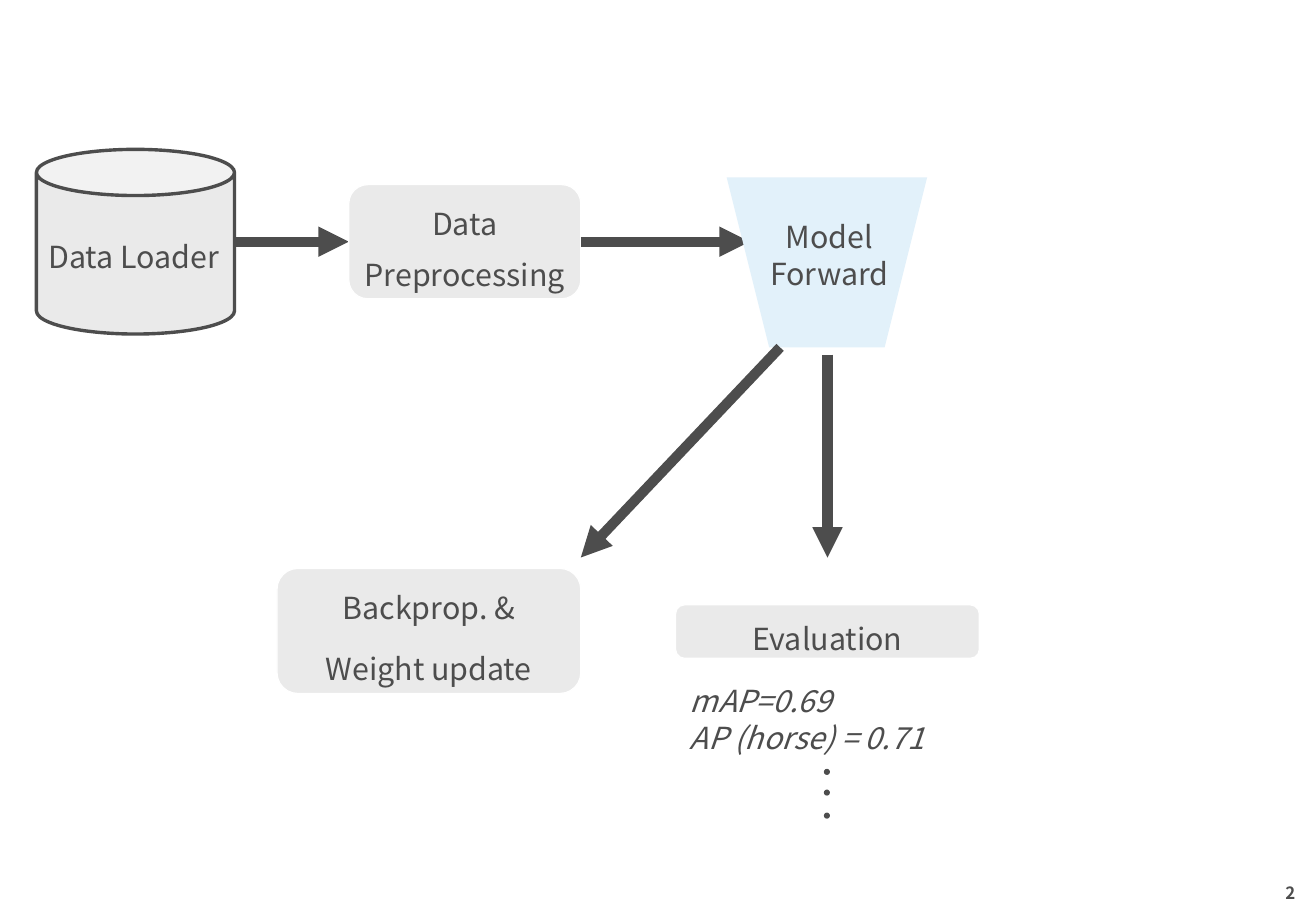
from dataclasses import dataclass

from lxml import etree
from pptx import Presentation
from pptx.dml.color import RGBColor
from pptx.enum.shapes import MSO_CONNECTOR, MSO_SHAPE
from pptx.enum.text import MSO_ANCHOR, MSO_AUTO_SIZE, PP_ALIGN
from pptx.oxml.ns import qn
from pptx.util import Inches, Pt

CAN, ROUNDED = MSO_SHAPE.CAN, MSO_SHAPE.ROUNDED_RECTANGLE
TRAPEZOID, RECTANGLE, OVAL = MSO_SHAPE.TRAPEZOID, MSO_SHAPE.RECTANGLE, MSO_SHAPE.OVAL
STRAIGHT = MSO_CONNECTOR.STRAIGHT
LEFT, CENTER, RIGHT = PP_ALIGN.LEFT, PP_ALIGN.CENTER, PP_ALIGN.RIGHT
TOP, MIDDLE = MSO_ANCHOR.TOP, MSO_ANCHOR.MIDDLE
FIT_SHAPE, NO_FIT = MSO_AUTO_SIZE.SHAPE_TO_FIT_TEXT, MSO_AUTO_SIZE.NONE

FONT = "Noto Sans CJK JP"
COLORS = {"ink": "4D4D4D", "step": "EAEAEA", "model": "E2F1FA", "paper": "FFFFFF"}
LEFT_SIDE, RIGHT_SIDE = 1, 3


@dataclass
class Step:
    left: float
    top: float
    width: float
    height: float
    text: str


@dataclass
class Arrow:
    start: tuple[float, float]
    end: tuple[float, float]


PREPROCESSING = Step(2.87, 1.52, 1.91, 0.94, "Data Preprocessing")
OUTCOMES = [
    Step(2.28, 4.68, 2.5, 1.03, "Backprop. &\nWeight update"),
    Step(5.56, 4.98, 2.5, 0.44, "Evaluation"),
]
LOAD_ARROW = Arrow((1.93, 1.99), (2.87, 1.99))
FORWARD_ARROW = Arrow((4.78, 1.99), (6.17, 1.99))
OUTCOME_ARROWS = [Arrow((6.42, 2.86), (4.78, 4.59)), Arrow((6.81, 2.92), (6.81, 4.59))]
DOT_TOPS = [6.33, 6.5, 6.69]


def color(name):
    return RGBColor.from_string(COLORS[name])


def write(box, text: str, *, size=18, bold=False, italic=False, align=LEFT, anchor=TOP,
          margin=None, spacing=None, after=None, wrap=True, fit=FIT_SHAPE) -> None:
    frame = box.text_frame
    frame.word_wrap, frame.auto_size, frame.vertical_anchor = wrap, fit, anchor
    if margin is not None:
        frame.margin_left = frame.margin_right = Inches(margin)
        frame.margin_top = frame.margin_bottom = Inches(margin)
    frame.text = text
    for para in frame.paragraphs:
        para.alignment = align
        if spacing is not None:
            para.line_spacing = spacing
        if after is not None:
            para.space_after = Pt(after)
        for span in para.runs:
            font = span.font
            font.name, font.size = FONT, Pt(size)
            font.bold, font.italic = bold, italic
            font.color.rgb = color("ink")


def add_shape(page, kind, left: float, top: float, width: float, height: float,
              fill: str, line: str | None = None, line_width: float = 0.75):
    shape = page.shapes.add_shape(kind, Inches(left), Inches(top),
                                  Inches(width), Inches(height))
    shape.shadow.inherit = False
    shape.fill.solid()
    shape.fill.fore_color.rgb = color(fill)
    if line is None:
        shape.line.fill.background()
    else:
        shape.line.color.rgb = color(line)
        shape.line.width = Pt(line_width)
    return shape


def add_step(page, step: Step):
    box = add_shape(page, ROUNDED, step.left, step.top, step.width, step.height,
                    "step", "paper")
    write(box, step.text, align=CENTER, anchor=MIDDLE, margin=0, spacing=1.4, after=6)
    return box


def add_label(page, left: float, top: float, width: float, height: float,
              text: str, **text_format) -> None:
    box = page.shapes.add_textbox(Inches(left), Inches(top), Inches(width), Inches(height))
    write(box, text, **text_format)


def add_arrow(page, arrow: Arrow):
    ends = [Inches(value) for value in arrow.start + arrow.end]
    connector = page.shapes.add_connector(STRAIGHT, *ends)
    connector.line.color.rgb = color("ink")
    connector.line.width = Pt(6)
    etree.SubElement(connector.line._get_or_add_ln(), qn("a:tailEnd"), type="triangle")
    etree.SubElement(connector._element.spPr, qn("a:effectLst"))
    return connector


def main() -> None:
    deck = Presentation()
    deck.slide_width, deck.slide_height = Inches(10.83), Inches(7.5)
    page = deck.slides.add_slide(deck.slide_layouts[6])

    # Page number
    add_label(page, 8.13, 7.21, 2.53, 0.28, "2", size=10, bold=True, align=RIGHT,
              anchor=MIDDLE, margin=0, fit=NO_FIT)

    # Data loading and preprocessing
    add_shape(page, CAN, 0.3, 1.23, 1.63, 1.52, "step", "ink", 2)
    add_label(page, 0.3, 1.91, 1.77, 0.4, "Data Loader")
    load_arrow = add_arrow(page, LOAD_ARROW)
    preprocessing = add_step(page, PREPROCESSING)
    load_arrow.end_connect(preprocessing, LEFT_SIDE)
    add_arrow(page, FORWARD_ARROW).begin_connect(preprocessing, RIGHT_SIDE)

    # Model, narrow side down
    model = add_shape(page, TRAPEZOID, 5.98, 1.46, 1.65, 1.4, "model")
    model.rotation = 180
    add_label(page, 5.94, 1.75, 1.77, 0.71, "Model Forward", align=CENTER)

    # Weight update and evaluation
    for arrow, outcome in zip(OUTCOME_ARROWS, OUTCOMES):
        add_arrow(page, arrow)
        add_step(page, outcome)

    # Scores, continued by dots
    scores = add_shape(page, RECTANGLE, 5.58, 5.57, 2.44, 1.3, "paper")
    write(scores, "mAP=0.69\nAP (horse) = 0.71", italic=True, wrap=False, fit=NO_FIT)
    for top in DOT_TOPS:
        add_shape(page, OVAL, 6.78, top, 0.05, 0.05, "ink")

    deck.save("out.pptx")


if __name__ == "__main__":
    main()
